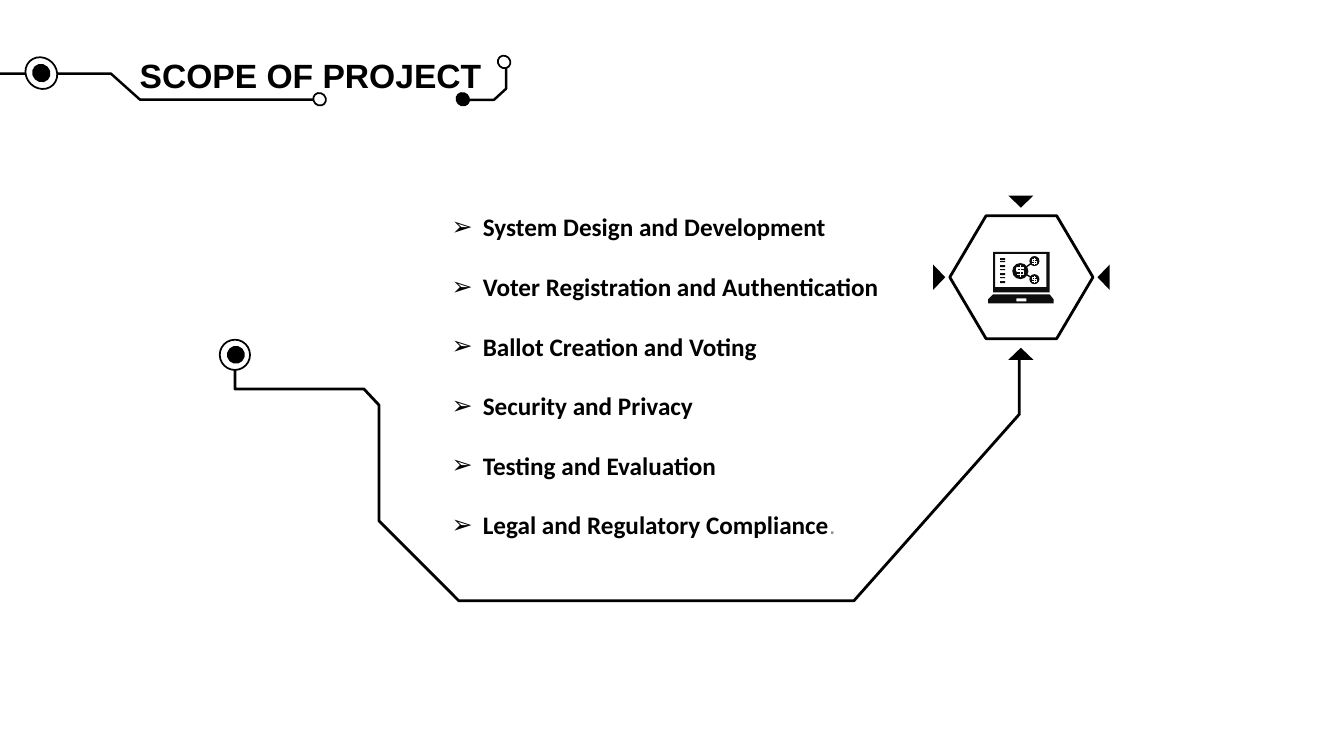
from lxml import etree
from pptx import Presentation
from pptx.dml.color import RGBColor
from pptx.enum.shapes import MSO_SHAPE
from pptx.enum.text import PP_ALIGN
from pptx.oxml.ns import qn
from pptx.util import Pt

PX = 9144
BLACK = RGBColor(0, 0, 0)
WHITE = RGBColor(255, 255, 255)
INK = RGBColor(13, 13, 13)
GRAY = RGBColor(147, 147, 147)

ELLIPSE = MSO_SHAPE.OVAL
HEXAGON = MSO_SHAPE.HEXAGON
RECTANGLE = MSO_SHAPE.RECTANGLE
TRIANGLE = MSO_SHAPE.ISOSCELES_TRIANGLE
CENTER = PP_ALIGN.CENTER

SCOPE = [
    "System Design and Development",
    "Voter Registration and Authentication",
    "Ballot Creation and Voting",
    "Security and Privacy",
    "Testing and Evaluation",
    "Legal and Regulatory Compliance",
]
DOLLAR = [
    [(4, -4), (-4, -4), (-4, 0), (4, 0), (4, 4), (-4, 4)],
    [(0, -7), (0, 7)],
]


def px(*lengths):
    return [length * PX for length in lengths]


def paint(shape, fill, line, weight):
    shape.shadow.inherit = False
    if fill is None:
        shape.fill.background()
    else:
        shape.fill.solid()
        shape.fill.fore_color.rgb = fill
    if line is None:
        shape.line.fill.background()
    else:
        shape.line.color.rgb = line
        shape.line.width = Pt(weight)


def add_preset(page, kind, bounds, fill=None, line=None, weight=1.25, turn=0):
    shape = page.shapes.add_shape(kind, *px(*bounds))
    paint(shape, fill, line, weight)
    shape.rotation = turn
    return shape


def add_outline(page, contours, fill=None, line=None, weight=1.75, unit=PX, origin=(0, 0)):
    builder = page.shapes.build_freeform(*contours[0][0], scale=unit)
    for index, points in enumerate(contours):
        if index:
            builder.move_to(*points[0])
        builder.add_line_segments(points[1:], close=fill is not None)
    paint(builder.convert_to_shape(*px(*origin)), fill, line, weight)


def add_node(page, bounds, fill):
    add_preset(page, ELLIPSE, bounds, fill, BLACK, turn=314.7)


def add_text_box(page, bounds):
    frame = page.shapes.add_textbox(*px(*bounds)).text_frame
    frame.word_wrap = True
    return frame


def style(span, font, size, color, bold):
    span.font.name = font
    span.font.size = Pt(size)
    span.font.color.rgb = color
    span.font.bold = bold


def add_bullet(para):
    properties = para._p.get_or_add_pPr()
    properties.set("marL", str(81 * PX))
    properties.set("indent", str(-31 * PX))
    etree.SubElement(properties, qn("a:buFont")).set("typeface", "Arial")
    etree.SubElement(properties, qn("a:buChar")).set("char", "➢")


def add_heading(page):
    add_outline(page, [[(-2, 73), (110, 73), (139, 99), (311, 99)]], line=BLACK)
    add_node(page, (26, 56, 30, 33), WHITE)
    add_node(page, (33, 64, 16, 17), BLACK)
    add_node(page, (311, 92, 12, 13), WHITE)
    para = add_text_box(page, (84, 50, 448, 50)).paragraphs[0]
    para.text = "SCOPE OF PROJECT"
    para.alignment = CENTER
    style(para.runs[0], "Arial", 24, BLACK, True)
    add_outline(page, [[(502, 67), (502, 88), (490, 99), (465, 99)]], line=BLACK)
    add_node(page, (453, 92, 12, 13), BLACK)
    add_node(page, (494, 55, 12, 13), WHITE)


def add_circuit(page):
    route = [(1011, 356), (1011, 411), (847, 596), (455, 596), (376, 517),
             (376, 402), (361, 386), (233, 386), (233, 357)]
    add_outline(page, [route], line=BLACK, weight=2)
    add_node(page, (218, 337, 30, 30), WHITE)
    add_node(page, (226, 344, 16, 16), BLACK)


def add_pointers(page):
    for left, top, turn in [(1000, 345, 0), (1000, 194, 180), (919, 269, 90), (1082, 269, 270)]:
        add_preset(page, TRIANGLE, (left, top, 25, 12), BLACK, turn=turn)


def add_coin(page, x, y, radius, weight):
    add_preset(page, ELLIPSE, (x - radius, y - radius, 2 * radius, 2 * radius), INK)
    add_outline(page, DOLLAR, line=WHITE, weight=weight, unit=PX * radius / 10, origin=(x, y))


def add_laptop(page):
    base = [(985, 292), (1041, 292), (1045, 297), (1045, 301), (980, 301), (980, 297)]
    slot = [(1018, 299), (1018, 296), (1008, 296), (1008, 299)]
    lid = [(985, 250), (1041, 250), (1041, 290), (985, 290)]
    screen = [(1038, 285), (1038, 252), (987, 252), (987, 285)]
    add_outline(page, [base, slot], fill=INK)
    add_outline(page, [lid, screen], fill=INK)
    add_outline(page, [[(1026, 259), (1012, 269), (1026, 277)]], line=INK, weight=1)
    add_coin(page, 1012, 269, 8, 1)
    for y in (259, 277):
        add_coin(page, 1026, y, 5, 0.75)
    for row in range(7):
        add_preset(page, RECTANGLE, (992, 256 + row * 23 // 6, 5, 2 - row % 2), INK)


def add_scope(page):
    frame = add_text_box(page, (388, 205, 498, 343))
    for index, item in enumerate(SCOPE):
        para = frame.add_paragraph() if index else frame.paragraphs[0]
        para.text = item
        para.level = 1
        add_bullet(para)
        if index:
            para.space_before = Pt(21)
        style(para.runs[0], "Calibri", 18, BLACK, True)
    period = para.add_run()
    period.text = "."
    style(period, "Arial", 18, GRAY, False)


def main():
    deck = Presentation()
    deck.slide_width, deck.slide_height = px(1333, 750)
    page = deck.slides.add_slide(deck.slide_layouts[6])
    add_pointers(page)
    add_heading(page)
    add_circuit(page)
    hexagon = add_preset(page, HEXAGON, (942, 214, 142, 122), line=BLACK, weight=2)
    hexagon.adjustments[0] = 0.295
    add_laptop(page)
    add_scope(page)
    deck.save("out.pptx")


if __name__ == "__main__":
    main()
